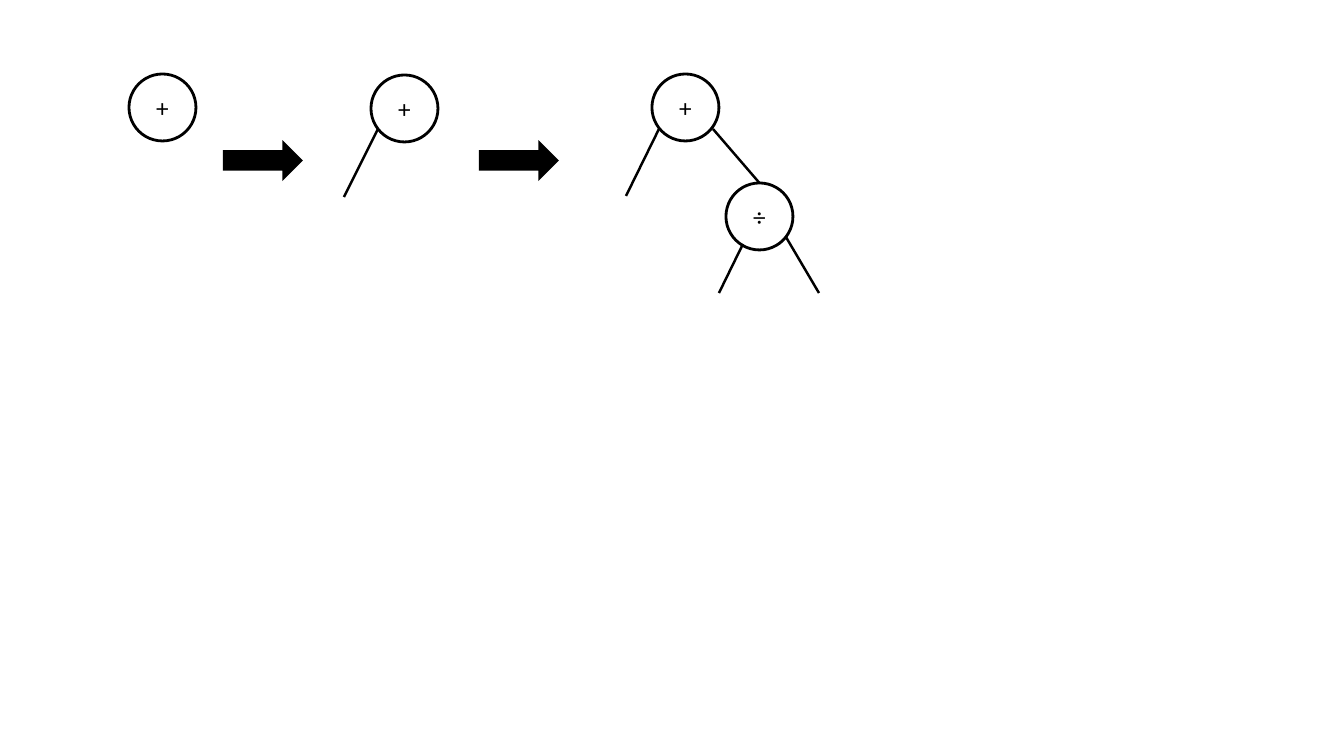
from pptx import Presentation
from pptx.dml.color import RGBColor
from pptx.enum.shapes import MSO_CONNECTOR, MSO_SHAPE
from pptx.enum.text import MSO_ANCHOR, PP_ALIGN
from pptx.oxml.ns import qn
from pptx.util import Emu, Pt
from lxml import etree

EMU_PER_PX = 914400 / 100.8
NODE_SIZE = 67
ARROW_SIZE = (80, 41)
BLACK, WHITE = "000000", "FFFFFF"


def px(n):
    return Emu(round(n * EMU_PER_PX))


def color(hex_str):
    return RGBColor.from_string(hex_str)


def add_node(slide, x, y, symbol):
    """Circle holding an operator."""
    sp = slide.shapes.add_shape(
        MSO_SHAPE.OVAL, px(x), px(y), px(NODE_SIZE), px(NODE_SIZE))
    sp.shadow.inherit = False
    sp.fill.solid()
    sp.fill.fore_color.rgb = color(WHITE)
    sp.line.color.rgb = color(BLACK)
    sp.line.width = Pt(2)
    tf = sp.text_frame
    tf.vertical_anchor = MSO_ANCHOR.MIDDLE
    p = tf.paragraphs[0]
    p.text = symbol
    p.alignment = PP_ALIGN.CENTER
    font = p.runs[0].font
    font.name = "Calibri"
    font.size = Pt(18)
    font.color.rgb = color(BLACK)
    return sp


def add_branch(slide, x1, y1, x2, y2):
    """Tree edge from a parent node down to (x2, y2)."""
    line = slide.shapes.add_connector(
        MSO_CONNECTOR.STRAIGHT, px(x1), px(y1), px(x2), px(y2))
    line.line.color.rgb = color(BLACK)
    line.line.width = Pt(1.75)
    etree.SubElement(line._element.spPr, qn("a:effectLst"))
    return line


def add_step_arrow(slide, x, y):
    """Block arrow leading to the next tree."""
    w, h = ARROW_SIZE
    sp = slide.shapes.add_shape(
        MSO_SHAPE.RIGHT_ARROW, px(x), px(y), px(w), px(h))
    sp.shadow.inherit = False
    sp.fill.solid()
    sp.fill.fore_color.rgb = color(BLACK)
    sp.line.fill.background()


def main():
    prs = Presentation()
    prs.slide_width, prs.slide_height = px(1344), px(756)
    slide = prs.slides.add_slide(prs.slide_layouts[6])

    # Step 1: root only
    add_node(slide, 129, 74, "+")

    # Step 2: root with a left branch
    add_node(slide, 371, 75, "+")
    add_branch(slide, 378, 129, 344, 197)

    # Step 3: division node as the right child
    divide = add_node(slide, 726, 183, "÷")
    add_node(slide, 652, 74, "+")
    add_branch(slide, 659, 129, 626, 196)
    add_branch(slide, 713, 129, 759, 183).end_connect(divide, 0)
    add_branch(slide, 743, 244, 719, 293)
    add_branch(slide, 786, 237, 819, 293)

    # Arrows between the steps
    for x in (223, 479):
        add_step_arrow(slide, x, 140)

    prs.save("out.pptx")


if __name__ == "__main__":
    main()
